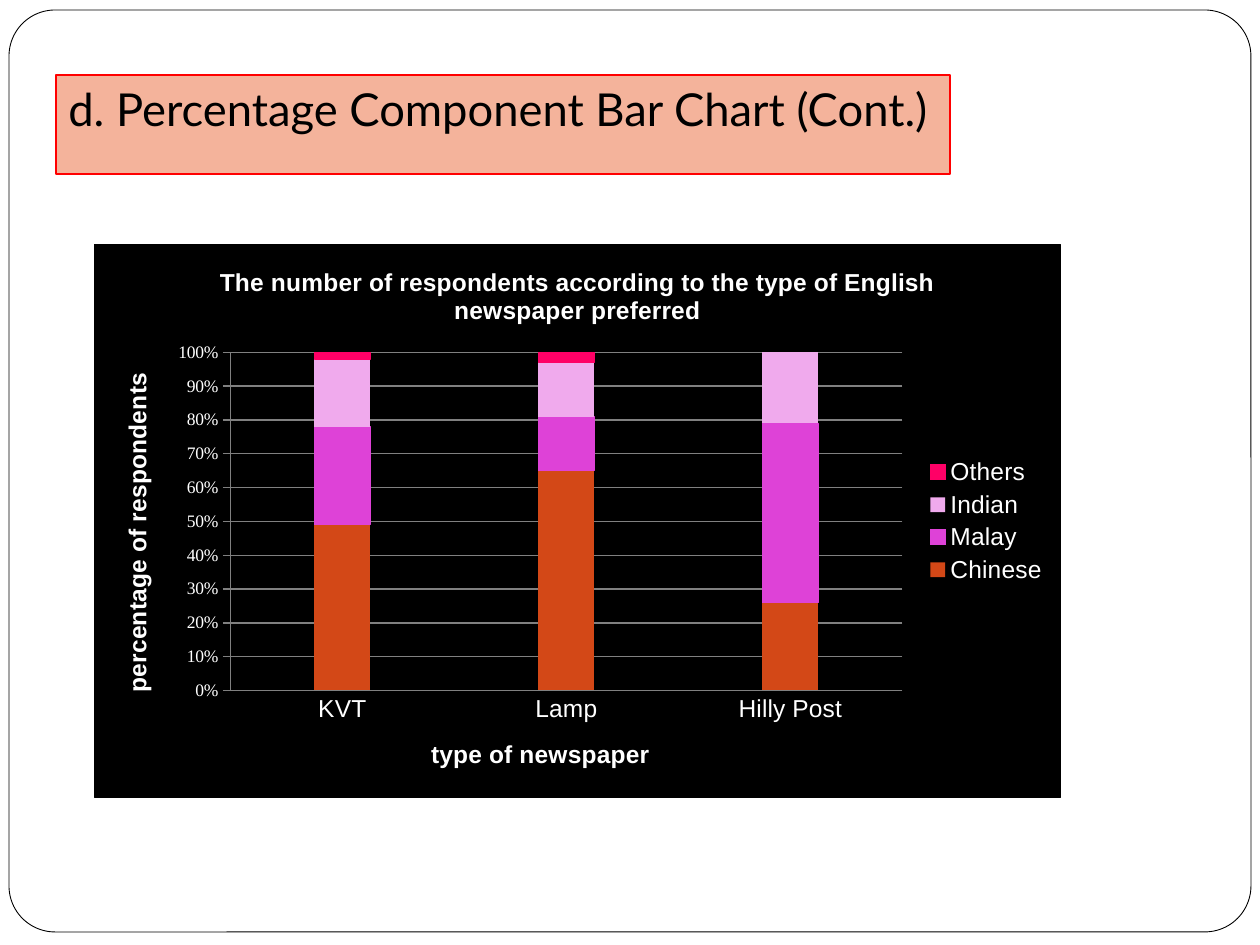
from lxml import etree
from pptx import Presentation
from pptx.chart.data import CategoryChartData
from pptx.dml.color import RGBColor
from pptx.enum.chart import XL_CHART_TYPE, XL_LEGEND_POSITION, XL_TICK_MARK
from pptx.enum.shapes import MSO_SHAPE
from pptx.enum.text import MSO_ANCHOR, PP_ALIGN
from pptx.util import Emu, Pt

STACKED_100 = XL_CHART_TYPE.COLUMN_STACKED_100
LEGEND_RIGHT = XL_LEGEND_POSITION.RIGHT
TICK_NONE, TICK_OUTSIDE = XL_TICK_MARK.NONE, XL_TICK_MARK.OUTSIDE
RECTANGLE, ROUNDED = MSO_SHAPE.RECTANGLE, MSO_SHAPE.ROUNDED_RECTANGLE
TOP, LEFT = MSO_ANCHOR.TOP, PP_ALIGN.LEFT
EMU_PER_PX = 914400 / 126
BLACK, WHITE, GREY = "000000", "FFFFFF", "808080"

CHART_NS = "http://schemas.openxmlformats.org/drawingml/2006/chart"
DRAWING_NS = "http://schemas.openxmlformats.org/drawingml/2006/main"
BACKGROUND_XML = (
    f'<c:spPr xmlns:c="{CHART_NS}" xmlns:a="{DRAWING_NS}">'
    '<a:solidFill><a:srgbClr val="{0}"/></a:solidFill>'
    '<a:ln w="9525"><a:solidFill><a:srgbClr val="{0}"/></a:solidFill></a:ln></c:spPr>'
)

NEWSPAPERS = ["KVT", "Lamp", "Hilly Post"]
RESPONDENTS = [
    ("Chinese", (49, 65, 26), "D34817", False),
    ("Malay", (29, 16, 53), "DE42D7", True),
    ("Indian", (20, 16, 21), "F0AAED", False),
    ("Others", (2, 3, 0), "FF0066", True),
]


def px(length):
    return Emu(round(length * EMU_PER_PX))


def rgb(color):
    return RGBColor.from_string(color)


class SlideBuilder:
    """Holds the text style and the current slide, and adds its elements."""

    def __init__(self, slide, heading_font, label_font, tick_font):
        self.slide = slide
        self.heading_font = heading_font
        self.label_font = label_font
        self.tick_font = tick_font

    def style_font(self, font, name, size, color, bold=False):
        font.name, font.size, font.bold = name, Pt(size), bold
        font.color.rgb = rgb(color)

    def style_line(self, line, color, width=0.75):
        line.color.rgb = rgb(color)
        line.width = Pt(width)

    def panel(self, preset, box, fill, line, width):
        panel = self.slide.shapes.add_shape(preset, *map(px, box))
        panel.shadow.inherit = False
        panel.fill.solid()
        panel.fill.fore_color.rgb = rgb(fill)
        self.style_line(panel.line, line, width)
        return panel

    def frame(self, box, corner):
        self.panel(ROUNDED, box, WHITE, BLACK, 0.5).adjustments[0] = corner

    def heading(self, text, box, fill, line):
        frame = self.panel(RECTANGLE, box, fill, line, 0.75).text_frame
        frame.word_wrap = True
        frame.vertical_anchor = TOP
        paragraph = frame.paragraphs[0]
        paragraph.text = text
        paragraph.alignment = LEFT
        self.style_font(paragraph.font, self.heading_font, 25.9, BLACK)

    def label(self, titled, text):
        paragraph = titled.text_frame.paragraphs[0]
        paragraph.text = text
        self.style_font(paragraph.font, self.label_font, 14, WHITE, True)

    def place_plot(self, chart, box, plot_box):
        left, top, width, height = box
        plot_left, plot_top, plot_width, plot_height = plot_box
        area = chart.plots[0]._element.getparent()
        for old in area.findall(f"{{{CHART_NS}}}layout"):
            area.remove(old)
        layout = etree.Element(f"{{{CHART_NS}}}layout")
        manual = etree.SubElement(layout, f"{{{CHART_NS}}}manualLayout")
        settings = {
            "layoutTarget": "inner",
            "xMode": "edge",
            "yMode": "edge",
            "x": (plot_left - left) / width,
            "y": (plot_top - top) / height,
            "w": plot_width / width,
            "h": plot_height / height,
        }
        for tag, value in settings.items():
            etree.SubElement(manual, f"{{{CHART_NS}}}{tag}", val=str(value))
        area.insert(0, layout)

    def percentage_chart(self, title, category_title, value_title, box, plot_box):
        data = CategoryChartData()
        data.categories = NEWSPAPERS
        for name, values, _, _ in RESPONDENTS:
            data.add_series(name, values)
        chart = self.slide.shapes.add_chart(STACKED_100, *map(px, box), data).chart
        self.style_font(chart.font, self.tick_font, 10, WHITE)
        chart_element = chart.plots[0]._element.getparent().getparent()
        chart_element.addnext(etree.fromstring(BACKGROUND_XML.format(BLACK)))
        self.place_plot(chart, box, plot_box)

        chart.has_title = True
        self.label(chart.chart_title, title)
        chart.has_legend = True
        chart.legend.position = LEGEND_RIGHT
        chart.legend.include_in_layout = False
        self.style_font(chart.legend.font, self.label_font, 14, WHITE)

        plot = chart.plots[0]
        plot.gap_width, plot.overlap, plot.vary_by_categories = 300, 100, False
        for series, (_, _, color, outlined) in zip(plot.series, RESPONDENTS):
            series.format.fill.solid()
            series.format.fill.fore_color.rgb = rgb(color)
            if outlined:
                self.style_line(series.format.line, color)

        newspapers, percentages = chart.category_axis, chart.value_axis
        for axis, text, tick, font, size in (
            (newspapers, category_title, TICK_NONE, self.label_font, 14),
            (percentages, value_title, TICK_OUTSIDE, self.tick_font, 10),
        ):
            self.label(axis.axis_title, text)
            axis.major_tick_mark, axis.minor_tick_mark = tick, TICK_NONE
            self.style_font(axis.tick_labels.font, font, size, WHITE)
            self.style_line(axis.format.line, GREY)
        percentages.major_unit = 0.1
        percentages.has_major_gridlines = True
        self.style_line(percentages.major_gridlines.format.line, GREY)
        percentages.tick_labels.number_format = "0%"
        percentages.tick_labels.number_format_is_linked = False


def main():
    presentation = Presentation()
    presentation.slide_width, presentation.slide_height = px(1260), px(945)
    slide = presentation.slides.add_slide(presentation.slide_layouts[6])
    builder = SlideBuilder(slide, "Lato", "Arial", "Times New Roman")
    builder.frame((9, 10, 1242, 922), 0.05)
    builder.percentage_chart(
        "The number of respondents according to the type of English newspaper preferred",
        "type of newspaper",
        "percentage of respondents",
        (94, 244, 967, 554),
        (230, 352, 673, 339),
    )
    builder.heading(
        "d. Percentage Component Bar Chart (Cont.)", (56, 75, 894, 99), "F4B39B", "FF0000"
    )
    presentation.save("out.pptx")


if __name__ == "__main__":
    main()
